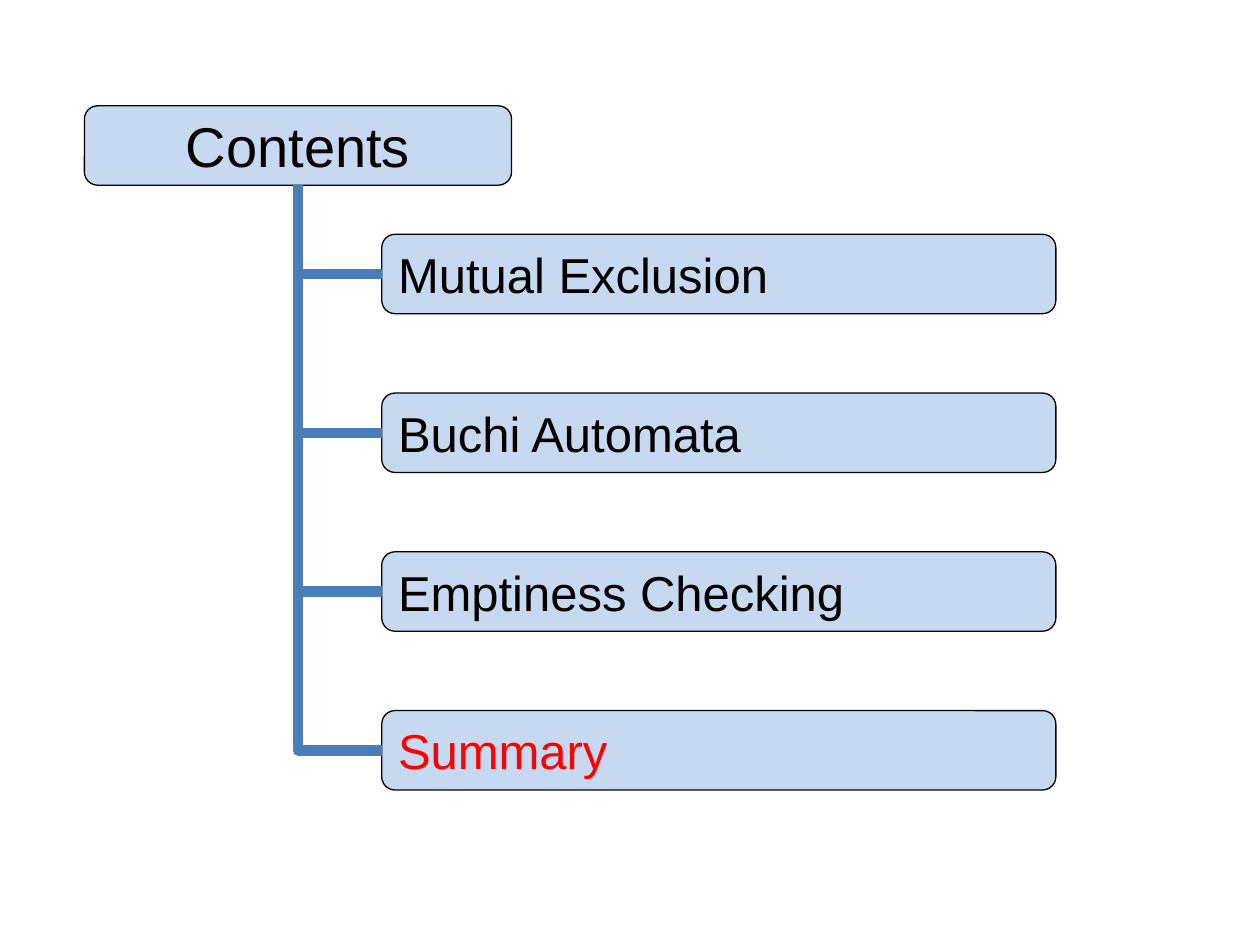
from dataclasses import dataclass

from lxml import etree
from pptx import Presentation
from pptx.dml.color import RGBColor
from pptx.enum.shapes import MSO_CONNECTOR, MSO_SHAPE
from pptx.enum.text import MSO_ANCHOR, MSO_AUTO_SIZE, PP_ALIGN
from pptx.oxml.ns import qn
from pptx.util import Inches, Pt

BOX_SHAPE = MSO_SHAPE.FLOWCHART_ALTERNATE_PROCESS
STRAIGHT, ELBOW = MSO_CONNECTOR.STRAIGHT, MSO_CONNECTOR.ELBOW
MIDDLE, NO_FIT = MSO_ANCHOR.MIDDLE, MSO_AUTO_SIZE.NONE
LEFT, CENTER = PP_ALIGN.LEFT, PP_ALIGN.CENTER
BOTTOM_SITE, LEFT_SITE = 2, 1

PALE_BLUE = RGBColor(0xC6, 0xD9, 0xF1)
TREE_BLUE = RGBColor(0x4A, 0x7E, 0xBB)
BLACK = RGBColor(0, 0, 0)
RED = RGBColor(0xFF, 0, 0)

# Grid: each topic takes two rows, one for its box and one for the gap
ROW = Inches(0.63)
TOPIC_PITCH = 2 * ROW
HEADING_LEFT, HEADING_TOP, HEADING_WIDTH = Inches(0.67), Inches(0.84), Inches(3.39)
TOPIC_LEFT, TOPIC_TOP, TOPIC_WIDTH = Inches(3.03), Inches(1.86), Inches(5.35)


@dataclass(frozen=True)
class Topic:
    label: str
    color: RGBColor = BLACK


TOPICS = [
    Topic("Mutual Exclusion"),
    Topic("Buchi Automata"),
    Topic("Emptiness Checking"),
    Topic("Summary", RED),
]


def write(frame, text: str, *, size: float, color: RGBColor = BLACK, align=LEFT) -> None:
    frame.auto_size = NO_FIT
    frame.word_wrap = False
    frame.vertical_anchor = MIDDLE
    paragraph = frame.paragraphs[0]
    paragraph.text = text
    paragraph.alignment = align
    paragraph.font.name = "Arial"
    paragraph.font.size = Pt(size)
    paragraph.font.color.rgb = color


def add_box(slide, left: int, top: int, width: int):
    box = slide.shapes.add_shape(BOX_SHAPE, left, top, width, ROW)
    box.shadow.inherit = False
    box.fill.solid()
    box.fill.fore_color.rgb = PALE_BLUE
    box.line.color.rgb = BLACK
    box.line.width = Pt(0.75)
    return box


def add_tree_line(slide, kind, start: tuple[int, int], end: tuple[int, int]):
    line = slide.shapes.add_connector(kind, *start, *end)
    line.line.color.rgb = TREE_BLUE
    line.line.width = Pt(6)
    etree.SubElement(line._element.spPr, qn("a:effectLst"))
    return line


def add_trunk(slide, heading, last_box) -> None:
    """Join heading and last topic with one corner: down, then right."""
    x, y = heading.left + heading.width // 2, heading.top + heading.height
    end_x, end_y = last_box.left, last_box.top + last_box.height // 2
    trunk = add_tree_line(slide, ELBOW, (x, y), (end_x, end_y))
    trunk.begin_connect(heading, BOTTOM_SITE)
    trunk.end_connect(last_box, LEFT_SITE)

    # A single corner lies in a frame turned by 270 degrees and mirrored
    trunk.width, trunk.height = end_y - y, end_x - x
    trunk.left = (x + end_x - trunk.width) // 2
    trunk.top = (y + end_y - trunk.height) // 2
    properties = trunk._element.spPr
    properties.find(qn("a:prstGeom")).set("prst", "bentConnector2")
    frame = properties.find(qn("a:xfrm"))
    frame.set("rot", str(270 * 60000))
    frame.set("flipH", "1")


def main() -> None:
    presentation = Presentation()
    presentation.slide_width, presentation.slide_height = Inches(10), Inches(7.5)
    slide = presentation.slides.add_slide(presentation.slide_layouts[5])

    # Heading: the title rests on a rounded box
    heading = add_box(slide, HEADING_LEFT, HEADING_TOP, HEADING_WIDTH)
    title = slide.shapes.title
    title.left, title.top = HEADING_LEFT, HEADING_TOP
    title.width, title.height = HEADING_WIDTH, ROW
    write(title.text_frame, "Contents", size=32, align=CENTER)
    heading._element.addnext(title._element)

    # Topics
    boxes = []
    for index, topic in enumerate(TOPICS):
        box = add_box(slide, TOPIC_LEFT, TOPIC_TOP + index * TOPIC_PITCH, TOPIC_WIDTH)
        write(box.text_frame, topic.label, size=28, color=topic.color)
        boxes.append(box)

    # Tree: a trunk to the last topic and a branch to each of the others
    add_trunk(slide, heading, boxes[-1])
    trunk_x = heading.left + heading.width // 2
    for box in boxes[:-1]:
        y = box.top + box.height // 2
        branch = add_tree_line(slide, STRAIGHT, (trunk_x, y), (box.left, y))
        branch.end_connect(box, LEFT_SITE)

    presentation.save("out.pptx")


if __name__ == "__main__":
    main()
